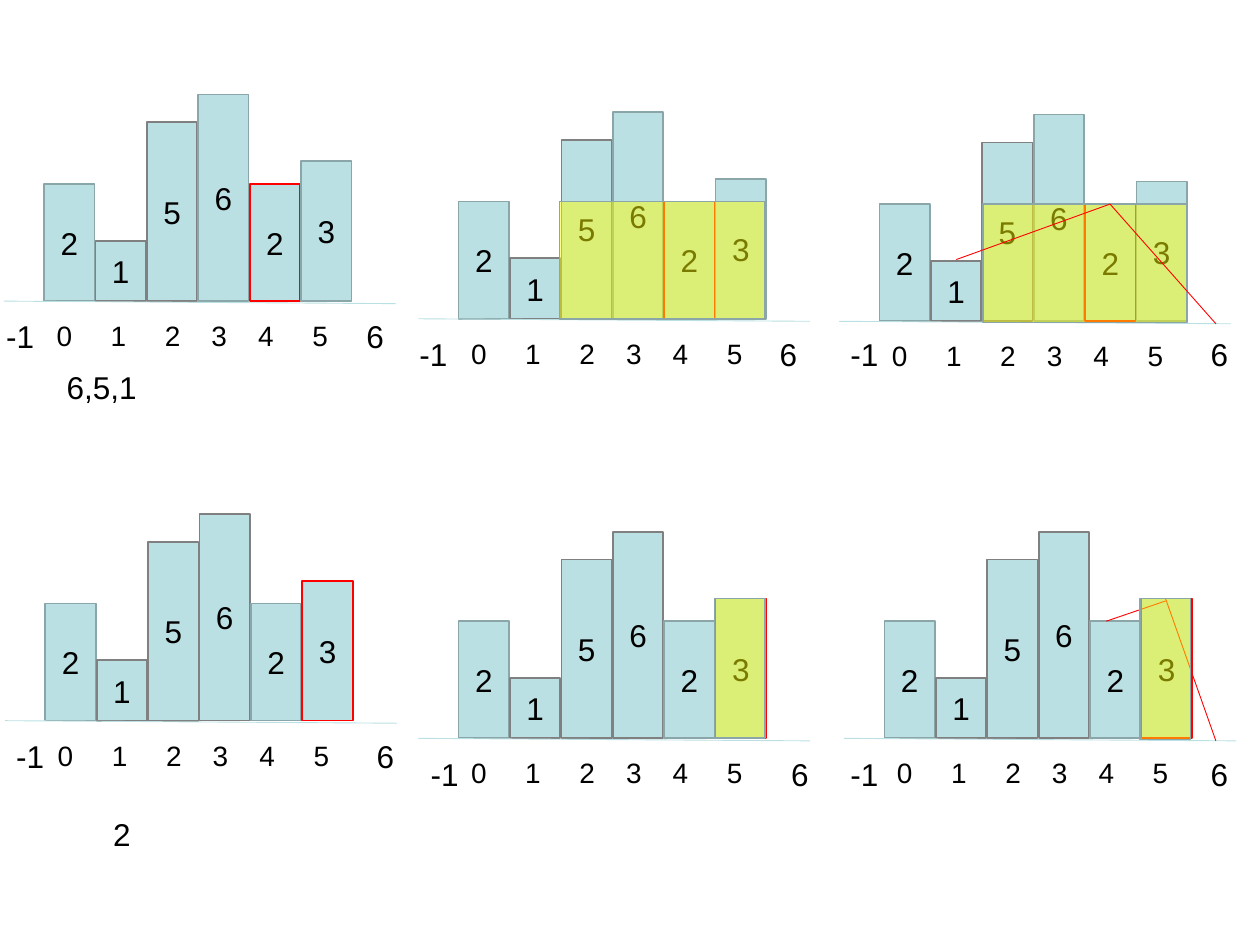
import itertools

import lxml.etree
import pptx
import pptx.dml.color
import pptx.enum.shapes
import pptx.enum.text
import pptx.oxml.ns
import pptx.util

Inches = pptx.util.Inches
RGBColor = pptx.dml.color.RGBColor
Align = pptx.enum.text.PP_ALIGN
qn = pptx.oxml.ns.qn

PALE_BLUE = RGBColor(0xBB, 0xE0, 0xE3)
SLATE = RGBColor(0x8A, 0xA6, 0xA8)
GRAY = RGBColor(0x80, 0x80, 0x80)
RED = RGBColor(0xFF, 0x00, 0x00)
YELLOW = RGBColor(0xFF, 0xFF, 0x00)
BLACK = RGBColor(0x00, 0x00, 0x00)

BAR_VALUES = [2, 1, 5, 6, 2, 3]
BAR_HEIGHTS = {1: 0.48, 2: 0.93, 3: 1.11, 5: 1.42, 6: 1.64}
BAR_WIDTH = 0.4
BAR_PITCH = 2.04 / 5
INDEX_STOPS = list(itertools.accumulate([0.43, 0.43, 0.37, 0.37, 0.43]))
OUTER_STOPS = [2.86]


def write_text(frame, text, size=18, align=Align.LEFT, stops=()):
    para = frame.paragraphs[0]
    para.alignment = align
    span = para.add_run()
    span.text = text
    span.font.name = "Arial"
    span.font.size = pptx.util.Pt(size)
    span.font.color.rgb = BLACK
    if stops:
        properties = para._p.get_or_add_pPr()
        tabs = lxml.etree.SubElement(properties, qn("a:tabLst"))
        for stop in stops:
            lxml.etree.SubElement(tabs, qn("a:tab"), pos=str(Inches(stop)), algn="l")


class Histograms:
    def __init__(self, slide):
        self.slide = slide
        self.shapes = slide.shapes

    def rectangle(self, left, top, width, height, fill, outline, text="", opacity=100):
        box = self.shapes.add_shape(
            pptx.enum.shapes.MSO_SHAPE.RECTANGLE,
            Inches(left), Inches(top), Inches(width), Inches(height))
        box.shadow.inherit = False
        box.fill.solid()
        box.fill.fore_color.rgb = fill
        box.line.color.rgb = outline
        box.line.width = pptx.util.Pt(1)
        if opacity < 100:
            color = box.fill._xPr.find(qn("a:solidFill"))[0]
            lxml.etree.SubElement(color, qn("a:alpha"), val=str(opacity * 1000))
        if text:
            box.text_frame.vertical_anchor = pptx.enum.text.MSO_ANCHOR.MIDDLE
            write_text(box.text_frame, text, align=Align.CENTER)

    def cover(self, left, top, width, height):
        self.rectangle(left, top, width, height, YELLOW, SLATE, opacity=48)

    def line(self, start, end, color):
        connector = self.shapes.add_connector(
            pptx.enum.shapes.MSO_CONNECTOR.STRAIGHT,
            *(Inches(value) for value in start + end))
        connector.line.color.rgb = color
        connector.line.width = pptx.util.Pt(0.5)
        lxml.etree.SubElement(connector._element.spPr, qn("a:effectLst"))

    def label(self, left, top, width, height, text, **style):
        box = self.shapes.add_textbox(
            Inches(left), Inches(top), Inches(width), Inches(height))
        frame = box.text_frame
        frame.word_wrap = True
        frame.auto_size = pptx.enum.text.MSO_AUTO_SIZE.SHAPE_TO_FIT_TEXT
        write_text(frame, text, **style)

    def panel(self, left, base, current, peak_outline):
        self.shapes = self.slide.shapes.add_group_shape().shapes
        outlines = [SLATE, GRAY, GRAY, peak_outline, SLATE, SLATE]
        outlines[current] = RED
        for index, (value, outline) in enumerate(zip(BAR_VALUES, outlines)):
            height = BAR_HEIGHTS[value]
            self.rectangle(left + index * BAR_PITCH, base - height, BAR_WIDTH, height,
                           PALE_BLUE, outline, text=str(value))
        self.label(left, base + 0.09, 2.52, 0.37, "0\t1\t2\t3\t4\t5",
                   size=16, stops=INDEX_STOPS)
        self.line((left - 0.32, base), (left + 2.79, base + 0.02), PALE_BLUE)
        self.shapes = self.slide.shapes


deck = pptx.Presentation()
deck.slide_width = Inches(10)
deck.slide_height = Inches(7.5)
page = Histograms(deck.slides.add_slide(deck.slide_layouts[6]))

page.panel(0.35, 2.39, 4, SLATE)
page.panel(3.64, 2.53, 4, SLATE)
page.cover(4.44, 1.6, 1.63, 0.93)
page.panel(6.98, 2.55, 4, SLATE)
page.cover(7.8, 1.62, 1.62, 0.94)
page.line((7.59, 2.06), (8.81, 1.62), RED)
page.line((9.65, 2.57), (8.81, 1.62), RED)

page.panel(0.36, 5.72, 5, GRAY)
page.panel(3.64, 5.86, 5, GRAY)
page.cover(5.67, 4.75, 0.4, 1.11)
page.panel(7.02, 5.86, 5, GRAY)
page.line((9.65, 5.88), (9.25, 4.75), RED)
page.line((8.78, 4.93), (9.25, 4.77), RED)
page.cover(9.05, 4.75, 0.4, 1.12)

OUTER_LABELS = [(6.65, 5.94), (3.32, 5.94), (0.03, 5.8),
                (6.65, 2.61), (3.23, 2.61), (-0.05, 2.47)]
for left, top in OUTER_LABELS:
    page.label(left, top, 3.45, 0.4, "-1\t6", stops=OUTER_STOPS)
page.label(0.43, 2.87, 3.33, 0.4, "6,5,1")
page.label(0.8, 6.42, 3.33, 0.4, "2")

deck.save("out.pptx")
